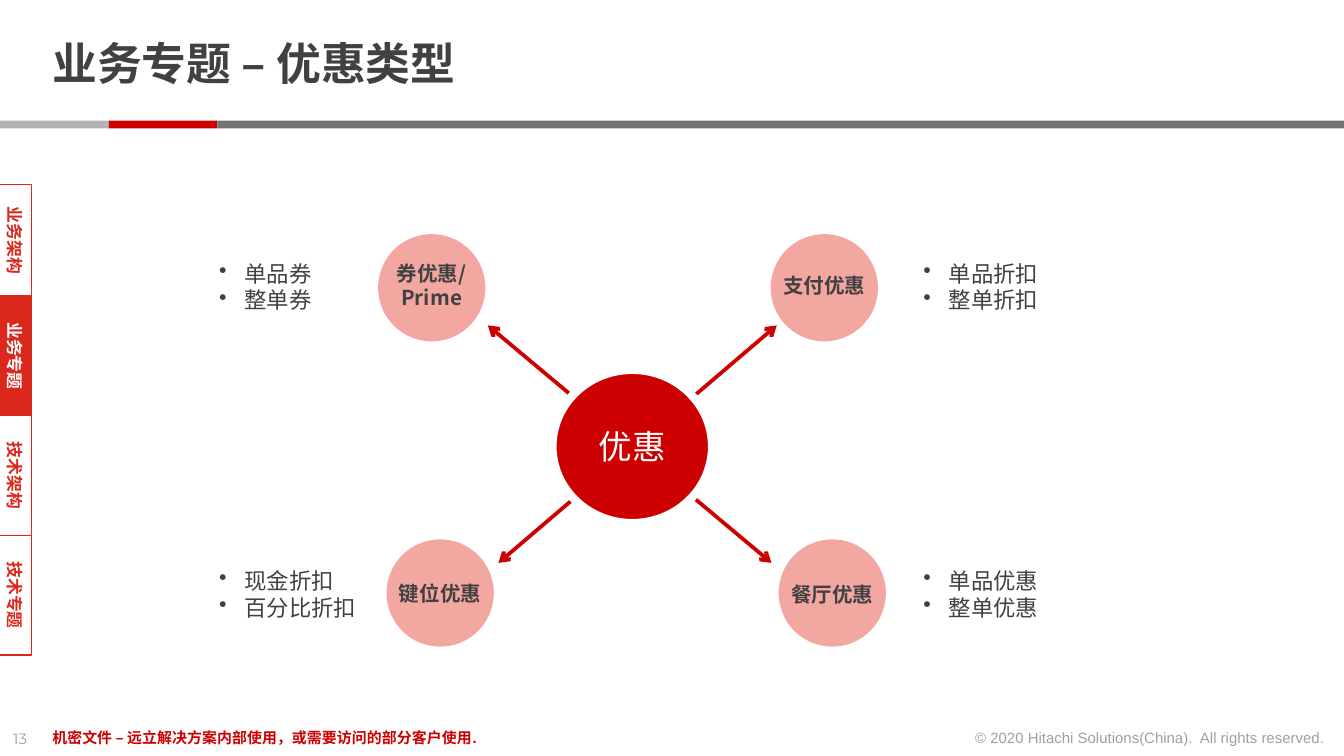
"""Build the slide of discount types around a central hub."""
from dataclasses import dataclass

from lxml.etree import SubElement
from pptx import Presentation
from pptx.dml.color import RGBColor
from pptx.enum.shapes import MSO_CONNECTOR, MSO_SHAPE
from pptx.enum.text import MSO_ANCHOR, PP_ALIGN
from pptx.oxml.ns import qn
from pptx.util import Cm, Pt


@dataclass(frozen=True)
class Theme:
    ink: str = "414141"
    red: str = "CC0000"
    tab_red: str = "DA291C"
    pink: str = "F3A7A1"
    white: str = "FFFFFF"
    silver: str = "B3B3B3"
    grey: str = "737373"
    cjk: str = "Noto Sans CJK SC"
    latin: str = "Arial"
    number: str = "Montserrat"
    title_size: int = 24
    hub_size: int = 18
    list_size: int = 12
    label_size: int = 11
    tab_size: int = 9
    footer_size: int = 8


THEME = Theme()


def write(shape, text, *, size, color=THEME.ink, font=THEME.cjk, bold=False,
          align=PP_ALIGN.LEFT, anchor=MSO_ANCHOR.TOP, wrap=True,
          bullet=False, opacity=None, spacing=None, margins=(0.25, 0.13)):
    frame = shape.text_frame
    frame.word_wrap = wrap
    frame.vertical_anchor = anchor
    frame.margin_left = frame.margin_right = Cm(margins[0])
    frame.margin_top = frame.margin_bottom = Cm(margins[1])
    frame.text = text
    for paragraph in frame.paragraphs:
        if bullet:
            properties = paragraph._p.get_or_add_pPr()
            properties.set("marL", str(Cm(0.48)))
            properties.set("indent", str(-Cm(0.48)))
            SubElement(properties, qn("a:buChar"), char="•")
        paragraph.alignment = align
        if spacing:
            paragraph.line_spacing = spacing
        for run in paragraph.runs:
            run.font.size = Pt(size)
            run.font.bold = bold
            run.font.name = font
            run.font.color.rgb = RGBColor.from_string(color)
            properties = run._r.get_or_add_rPr()
            SubElement(properties, qn("a:ea"), typeface=THEME.cjk)
            if opacity:
                tint = properties.find(f".//{qn('a:srgbClr')}")
                SubElement(tint, qn("a:alpha"), val=str(opacity * 1000))


def add_text(slide, text, left, top, width, height, **style):
    box = slide.shapes.add_textbox(Cm(left), Cm(top), Cm(width), Cm(height))
    write(box, text, **style)


def add_block(slide, kind, left, top, width, height, fill,
              outline=None, outline_width=0.75):
    block = slide.shapes.add_shape(kind, Cm(left), Cm(top), Cm(width), Cm(height))
    block.shadow.inherit = False
    block.fill.solid()
    block.fill.fore_color.rgb = RGBColor.from_string(fill)
    if outline:
        block.line.color.rgb = RGBColor.from_string(outline)
        block.line.width = Pt(outline_width)
    else:
        block.line.fill.background()
    return block


def add_double_arrow(slide, start, end):
    arrow = slide.shapes.add_connector(
        MSO_CONNECTOR.STRAIGHT, *(Cm(value) for value in (*start, *end)))
    arrow.line.color.rgb = RGBColor.from_string(THEME.red)
    arrow.line.width = Pt(2)
    outline = arrow.line._get_or_add_ln()
    for tip in ("a:headEnd", "a:tailEnd"):
        SubElement(outline, qn(tip), type="arrow")
    SubElement(arrow._element.spPr, qn("a:effectLst"))


def add_header(slide):
    for left, right, fill in ((0, 2.06, THEME.silver), (2.06, 4.11, THEME.red),
                              (4.11, 25.4, THEME.grey)):
        add_block(slide, MSO_SHAPE.RECTANGLE, left, 2.28, right - left, 0.15, fill)
    add_text(slide, "业务专题 – 优惠类型", 0.74, 0.33, 19.58, 1.85,
             size=THEME.title_size, bold=True, anchor=MSO_ANCHOR.MIDDLE,
             spacing=0.85, margins=(0.25, 0))


def add_footer(slide):
    add_text(slide, "13", 0, 13.66, 0.86, 0.61, size=THEME.footer_size,
             font=THEME.number, opacity=50, wrap=False)
    add_text(slide, "机密文件 – 远立解决方案内部使用，或需要访问的部分客户使用.",
             0.74, 13.64, 17.12, 0.61, size=THEME.footer_size,
             font=THEME.latin, color=THEME.red, bold=True)
    add_text(slide, "© 2020 Hitachi Solutions(China).  All rights reserved.",
             18.08, 13.64, 7.21, 0.61, size=THEME.footer_size,
             font=THEME.latin, opacity=50, align=PP_ALIGN.RIGHT, wrap=False)


def add_chapter_tabs(slide, current):
    thickness, top = 0.61, 3.49
    for chapter, length in (("业务架构", 2.11), ("业务专题", 2.26),
                            ("技术架构", 2.26), ("技术专题", 2.26)):
        fill, ink = THEME.white, THEME.tab_red
        if chapter == current:
            fill, ink = ink, fill
        tab = add_block(slide, MSO_SHAPE.RECTANGLE, 0.29 - length / 2,
                        top + (length - thickness) / 2, length, thickness,
                        fill, THEME.tab_red)
        tab.rotation = 90
        write(tab, chapter, size=THEME.tab_size, color=ink, bold=True,
              align=PP_ALIGN.CENTER, anchor=MSO_ANCHOR.MIDDLE, margins=(0.18, 0.1))
        top += length


def add_discount(slide, name, left, top, label_top, label_height):
    diameter, label_width = 2.0, 2.31
    add_block(slide, MSO_SHAPE.OVAL, left, top, diameter, diameter,
              THEME.pink, THEME.pink)
    add_text(slide, name, left + (diameter - label_width) / 2, label_top,
             label_width, label_height, size=THEME.label_size, bold=True,
             align=PP_ALIGN.CENTER)


def add_options(slide, options, left, top):
    width = 1.02 + 0.42 * max(map(len, options))
    add_text(slide, "\n".join(options), left, top, width, 1.27,
             size=THEME.list_size, font=THEME.latin, bullet=True, wrap=False)


def add_hub(slide):
    add_double_arrow(slide, (14.68, 6.15), (9.42, 10.64))
    add_double_arrow(slide, (14.58, 10.64), (9.22, 6.15))
    hub = add_block(slide, MSO_SHAPE.OVAL, 10.44, 6.99, 3.02, 2.9,
                    THEME.red, THEME.white, 4.5)
    write(hub, "优惠", size=THEME.hub_size, color=THEME.white,
          align=PP_ALIGN.CENTER, anchor=MSO_ANCHOR.MIDDLE)


def main():
    deck = Presentation()
    deck.slide_width, deck.slide_height = Cm(25.4), Cm(14.29)
    slide = deck.slides.add_slide(deck.slide_layouts[6])
    add_header(slide)
    add_footer(slide)

    left_list, right_list, upper_list, lower_list = 3.89, 17.2, 4.78, 10.59
    upper, lower = 4.44, 10.21
    add_discount(slide, "券优惠/Prime", 7.16, upper, 4.8, 1.19)
    add_discount(slide, "支付优惠", 14.58, upper, 5.03, 0.74)
    add_discount(slide, "键位优惠", 7.32, lower, 10.85, 0.74)
    add_discount(slide, "餐厅优惠", 14.73, lower, 10.87, 0.74)
    add_options(slide, ("单品券", "整单券"), left_list, upper_list)
    add_options(slide, ("单品折扣", "整单折扣"), right_list, upper_list)
    add_options(slide, ("现金折扣", "百分比折扣"), left_list, lower_list)
    add_options(slide, ("单品优惠", "整单优惠"), right_list, lower_list)

    add_hub(slide)
    add_chapter_tabs(slide, "业务专题")
    deck.save("out.pptx")


if __name__ == "__main__":
    main()
